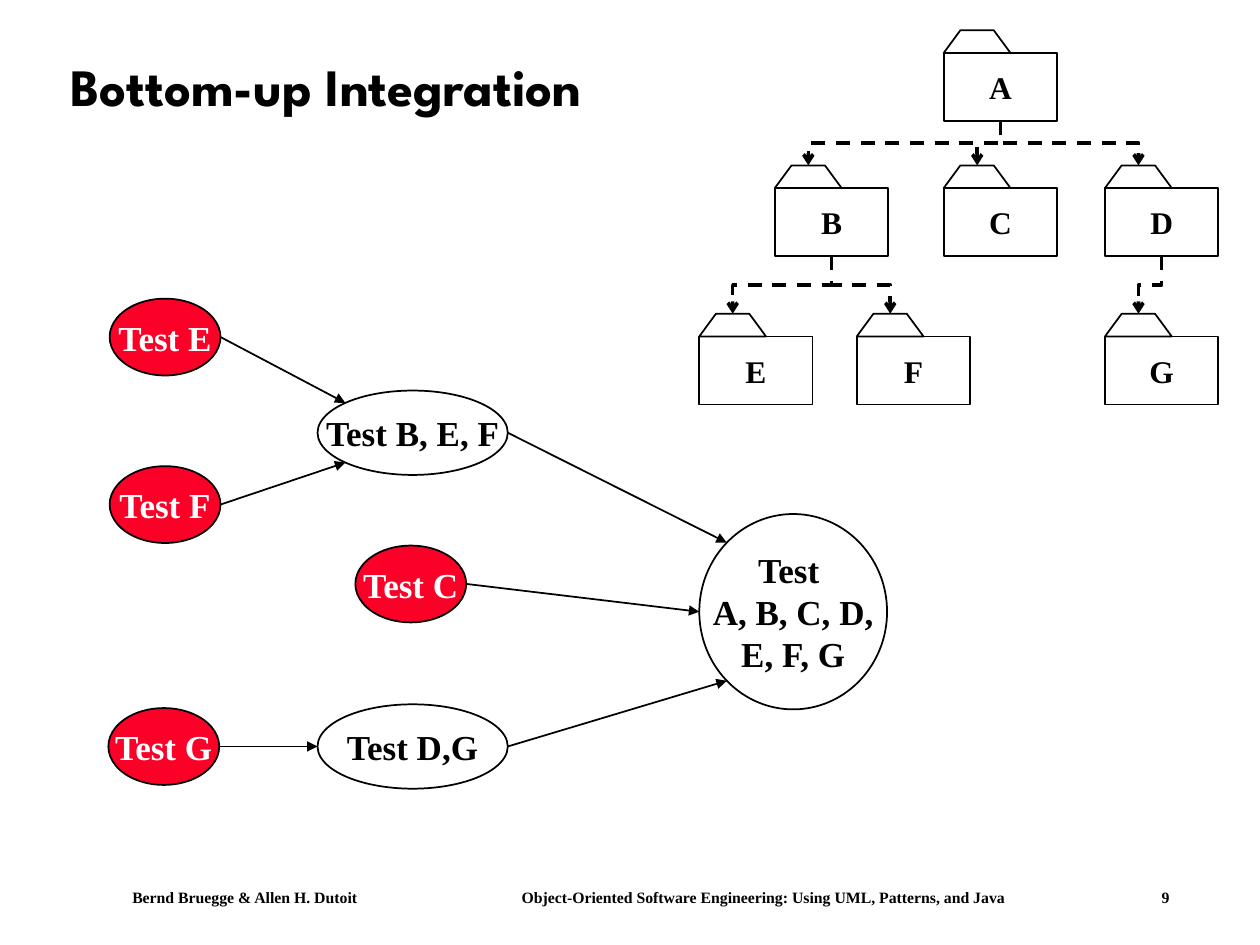
from dataclasses import dataclass
from math import cos, pi, sin

from lxml import etree
from pptx import Presentation
from pptx import util as u
from pptx.dml.color import RGBColor
from pptx.enum import dml, shapes, text
from pptx.oxml.ns import qn


@dataclass(frozen=True)
class Theme:
    ink: str = "000000"
    paper: str = "FFFFFF"
    red: str = "FC0128"
    serif: str = "Times New Roman"
    head: str = "League Spartan"
    title: int = 30
    test: int = 20
    pack: int = 18
    foot: int = 9
    thin: int = 1
    thick: int = 2


T = Theme()
WIDE, HIGH = u.Inches(10), u.Inches(7.5)

# Folder sizes, in percent of the slide
BODY_W, BODY_H, TAB_W, TAB_H = 9, 7.2, 5.3, 2.4

# Folder name: left, top
PACKS = {
    "A": (74.9, 3.2),
    "B": (61.5, 17.5), "C": (74.9, 17.5), "D": (87.7, 17.5),
    "E": (55.5, 33.2), "F": (68, 33.2), "G": (87.7, 33.2),
}
USES = ["AB", "BE", "BF", "DG", "AC", "AD"]

LEAF, PAIR, FULL = (8.8, 8.13), (15.1, 8.93), (14.9, 20.67)

# Test key: label, left, top, size
TESTS = {
    "all": ("Test \nA, B, C, D,\nE, F, G", 55.5, 54.4, FULL),
    "e": ("Test E", 8.7, 31.6, LEAF),
    "f": ("Test F", 8.7, 49.33, LEAF),
    "bef": ("Test B, E, F", 25.2, 41.33, PAIR),
    "c": ("Test C", 28.2, 57.73, LEAF),
    "dg": ("Test D,G", 25.2, 74.53, PAIR),
    "g": ("Test G", 8.6, 74.93, LEAF),
}
# Source, target, degrees on the target's rim, clockwise from its right end
FLOWS = [("e", "bef", 225), ("f", "bef", 135), ("bef", "all", 225),
         ("c", "all", 180), ("dg", "all", 135), ("g", "dg", 180)]


def col(share):
    return u.Emu(round(WIDE * share / 100))


def row(share):
    return u.Emu(round(HIGH * share / 100))


def area(x, y, w, h):
    return col(x), row(y), col(w), row(h)


def rgb(code):
    return RGBColor.from_string(code)


def write(shape, words, size, font=T.serif, color=T.ink, align="CENTER",
          wrap=False, space=None, inset=0.1, stops=()):
    frame = shape.text_frame
    frame.text = words
    frame.word_wrap = wrap
    frame.vertical_anchor = text.MSO_ANCHOR.MIDDLE
    frame.margin_left = u.Inches(inset)
    for para in frame.paragraphs:
        if stops:
            tabs = etree.SubElement(para._p.get_or_add_pPr(), qn("a:tabLst"))
            for stop in stops:
                etree.SubElement(tabs, qn("a:tab"), pos=str(col(stop)), algn="l")
        para.alignment = getattr(text.PP_ALIGN, align)
        if space:
            para.line_spacing = space
        for run in para.runs:
            run.font.name = font
            run.font.size = u.Pt(size)
            run.font.bold = True
            run.font.color.rgb = rgb(color)


def paint(shape, fill=None):
    shape.shadow.inherit = False
    if fill:
        shape.fill.solid()
        shape.fill.fore_color.rgb = rgb(fill)
    else:
        shape.fill.background()
    shape.line.color.rgb = rgb(T.ink)
    shape.line.width = u.Pt(T.thin)


def stroke(link, width, tip):
    link.line.color.rgb = rgb(T.ink)
    link.line.width = u.Pt(width)
    if width == T.thick:
        link.line.dash_style = dml.MSO_LINE.DASH
    props = link._element.spPr
    etree.SubElement(props.find(qn("a:ln")), qn("a:tailEnd"), type=tip)
    etree.SubElement(props, qn("a:effectLst"))


def bend(slide, top, low):
    """Dashed elbow that leaves the upper folder downwards."""
    x1, y1 = col(top[0] + BODY_W / 2), row(top[1] + TAB_H + BODY_H)
    x2, y2 = col(low[0] + TAB_W / 2), row(low[1])
    run, drop = abs(x2 - x1), y2 - y1
    # The elbow is laid on its side about its centre, then turned upright.
    mid_x, mid_y = (x1 + x2) // 2, (y1 + y2) // 2
    left, right = mid_x - drop // 2, mid_x + drop // 2
    if x2 > x1:
        left, right = right, left
    link = slide.shapes.add_connector(
        shapes.MSO_CONNECTOR.ELBOW,
        left, mid_y - run // 2, right, mid_y + run // 2)
    turn = 270 if x2 > x1 else 90
    link._element.spPr.find(qn("a:xfrm")).set("rot", str(turn * 60000))
    stroke(link, T.thick, "arrow")


def pack(slide, name, x, y):
    """Folder: a named body under a sloped tab."""
    base = y + TAB_H
    body = slide.shapes.add_shape(
        shapes.MSO_SHAPE.RECTANGLE, *area(x, base, BODY_W, BODY_H))
    paint(body, T.paper)
    write(body, name, T.pack)
    pen = slide.shapes.build_freeform(col(x), row(base))
    pen.add_line_segments([
        (col(x + TAB_W / 4), row(y)), (col(x + TAB_W * 3 / 4), row(y)),
        (col(x + TAB_W), row(base))], close=True)
    paint(pen.convert_to_shape(), T.paper)


def oval(slide, label, x, y, size):
    shape = slide.shapes.add_shape(shapes.MSO_SHAPE.OVAL, *area(x, y, *size))
    leaf = size == LEAF
    paint(shape, T.red if leaf else None)
    write(shape, label, T.test, color=T.paper if leaf else T.ink)
    return shape


def rim(shape, angle):
    turn = angle * pi / 180
    return (round(shape.left + shape.width * (1 + cos(turn)) / 2),
            round(shape.top + shape.height * (1 + sin(turn)) / 2))


def flow(slide, start, end, angle):
    link = slide.shapes.add_connector(
        shapes.MSO_CONNECTOR.STRAIGHT, *rim(start, 0), *rim(end, angle))
    stroke(link, T.thin, "triangle")


def main():
    deck = Presentation()
    deck.slide_width, deck.slide_height = WIDE, HIGH
    slide = deck.slides.add_slide(deck.slide_layouts[6])

    foot = slide.shapes.add_textbox(*area(5.8, 93.33, 91.7, 3.33))
    write(foot, "Bernd Bruegge & Allen H. Dutoit\tObject-Oriented Software "
          "Engineering: Using UML, Patterns, and Java\t9", T.foot,
          align="LEFT", wrap=True, inset=0.47, stops=(30.9, 81.7))

    for top, low in USES:
        bend(slide, PACKS[top], PACKS[low])

    title = slide.shapes.add_textbox(*area(4.6, 3.2, 89.2, 12.53))
    write(title, "Bottom-up Integration", T.title, font=T.head,
          align="LEFT", wrap=True, space=0.9)

    for name, place in PACKS.items():
        pack(slide, name, *place)
    ovals = {key: oval(slide, *facts) for key, facts in TESTS.items()}
    for start, end, angle in FLOWS:
        flow(slide, ovals[start], ovals[end], angle)

    deck.save("out.pptx")


if __name__ == "__main__":
    main()
